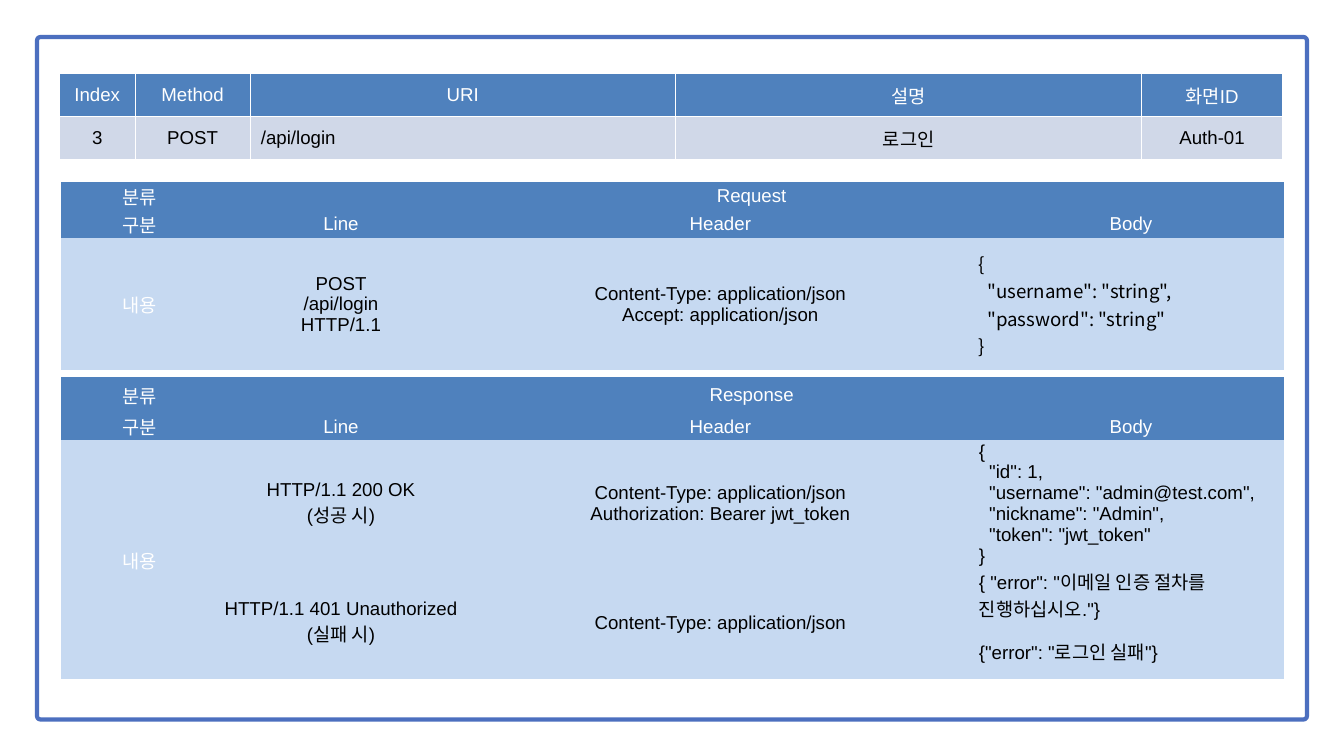
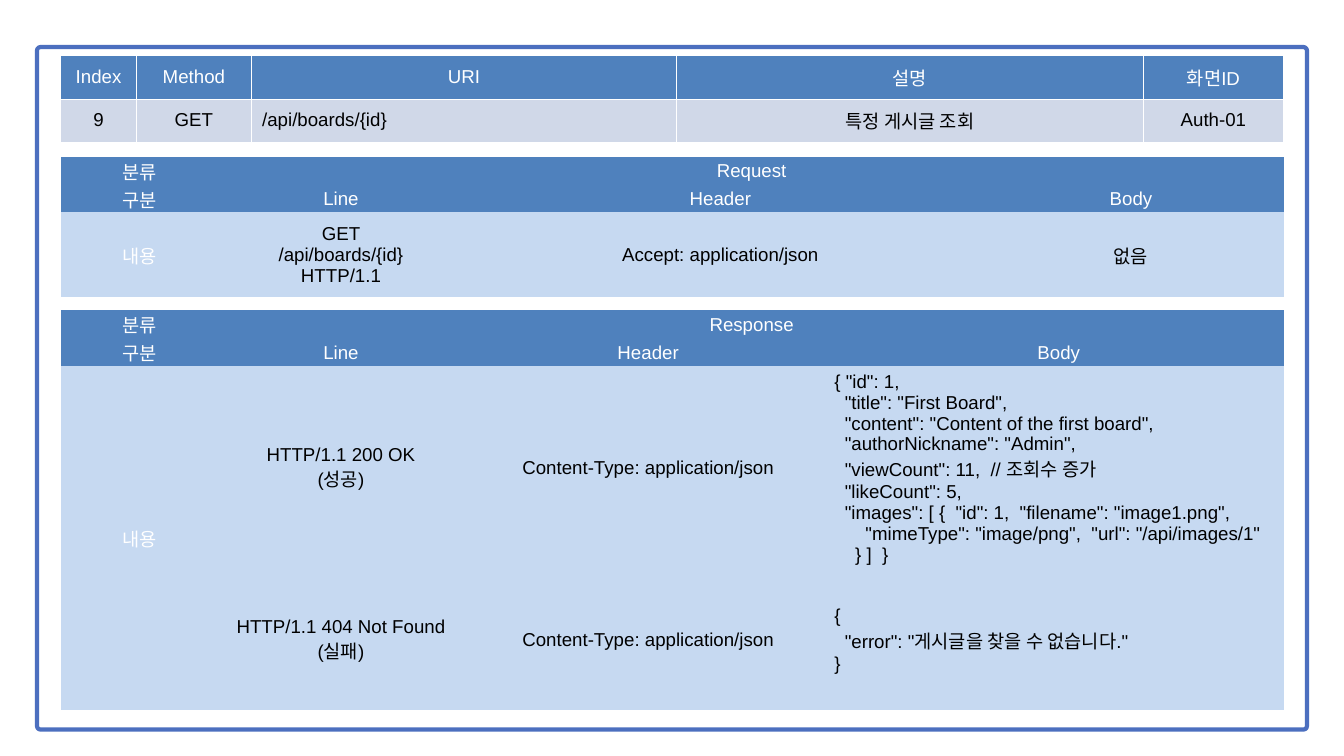
from lxml.etree import SubElement
from pptx import Presentation
from pptx.dml.color import RGBColor
from pptx.enum.shapes import MSO_SHAPE
from pptx.enum.text import MSO_ANCHOR, PP_ALIGN
from pptx.oxml.ns import qn
from pptx.util import Cm, Pt

FRAME_LINE, HEAD, BODY, INDEX_ROW = "4C6FBF", "4F81BD", "C6D9F1", "D0D8E8"
WHITE, BLACK = "FFFFFF", "000000"
LATIN, KOREAN = "Arial", "Noto Sans CJK KR"
NO_STYLE = "{2D5ABB26-0587-4C30-8999-92F81FD0307C}"
DETAIL_INSETS = (0.03, 0.03, 0.03, 0)
INDEX_INSETS = (0.41, 0.2, 0.41, 0.2)
INDEX_COLUMNS = (2.87, 4.34, 16.08, 17.63, 5.31)
INDEX_TITLES = ("Index", "Method", "URI", "설명", "화면ID")
DETAIL_COLUMNS = (6, 9.2, 19.48, 11.56)
WIDE_BODY_COLUMNS = (6, 9.2, 14.02, 17.02)
JSON_TYPE = "Content-Type: application/json"

LOGIN = {
    "frame_top": 1.4,
    "index": (2.24, 2.77, ("3", "POST", "/api/login", "로그인", "Auth-01")),
    "request": {
        "top": 6.88, "columns": DETAIL_COLUMNS, "heights": (0.99, 0.74, 5),
        "body_font": KOREAN,
        "rows": [("POST\n/api/login\nHTTP/1.1",
                  JSON_TYPE + "\nAccept: application/json",
                  '{\n  "username": "string",\n  "password": "string"\n}')],
    },
    "response": {
        "top": 14.27, "columns": DETAIL_COLUMNS,
        "heights": (1.32, 0.99, 4.27, 2.13, 2.13),
        "rows": [("HTTP/1.1 200 OK\n(성공 시)",
                  JSON_TYPE + "\nAuthorization: Bearer jwt_token",
                  '{\n  "id": 1,\n  "username": "admin@test.com",\n'
                  '  "nickname": "Admin",\n  "token": "jwt_token"\n}'),
                 ("HTTP/1.1 401 Unauthorized (실패 시)", JSON_TYPE,
                  '{ "error": "이메일 인증 절차를 진행하십시오."}'),
                 (None, None, '{"error": "로그인 실패"}')],
    },
}

BOARD = {
    "frame_top": 1.78,
    "index": (2.29, 2.11, ("9", "GET", "/api/boards/{id}", "특정 게시글 조회", "Auth-01")),
    "request": {
        "top": 5.92, "columns": DETAIL_COLUMNS, "heights": (0.64, 0.58, 3.2),
        "body_align": PP_ALIGN.CENTER,
        "rows": [("GET\n/api/boards/{id}\nHTTP/1.1", "Accept: application/json", "없음")],
    },
    "response": {
        "top": 11.73, "columns": WIDE_BODY_COLUMNS,
        "heights": (1.04, 1.04, 7.7, 5.31),
        "rows": [("HTTP/1.1 200 OK\n(성공)", JSON_TYPE,
                  '{ "id": 1,\n  "title": "First Board",\n'
                  '  "content": "Content of the first board",\n'
                  '  "authorNickname": "Admin",\n'
                  '  "viewCount": 11,  // 조회수 증가\n  "likeCount": 5,\n'
                  '  "images": [ {  "id": 1,  "filename": "image1.png",\n'
                  '      "mimeType": "image/png",  "url": "/api/images/1"\n'
                  '    } ]  }'),
                 ("HTTP/1.1 404 Not Found\n(실패)", JSON_TYPE,
                  '{\n  "error": "게시글을 찾을 수 없습니다."\n}')],
    },
}


def color(value):
    return RGBColor.from_string(value)


def add_frame(page, top):
    frame = page.shapes.add_shape(
        MSO_SHAPE.ROUNDED_RECTANGLE, Cm(1.4), Cm(top), Cm(48), Cm(25.8))
    frame.adjustments[0] = 0.005
    frame.shadow.inherit = False
    frame.fill.solid()
    frame.fill.fore_color.rgb = color(WHITE)
    frame.line.color.rgb = color(FRAME_LINE)
    frame.line.width = Pt(4.5)


def add_plain_table(page, left, top, columns, heights):
    """Adds a table without any built-in fills or borders."""
    shape = page.shapes.add_table(
        len(heights), len(columns), Cm(left), Cm(top),
        Cm(sum(columns)), Cm(sum(heights)))
    table = shape.table
    table._tbl.tblPr.find(qn("a:tableStyleId")).text = NO_STYLE
    for column, width in zip(table.columns, columns):
        column.width = Cm(width)
    for row, height in zip(table.rows, heights):
        row.height = Cm(height)
    return table


def add_borders(cell):
    properties = cell._tc.get_or_add_tcPr()
    for side in ("a:lnL", "a:lnR", "a:lnT", "a:lnB"):
        line = SubElement(properties, qn(side), w=str(Pt(1)))
        fill = SubElement(line, qn("a:solidFill"))
        SubElement(fill, qn("a:srgbClr"), val=WHITE)


def fill_cell(cell, text, fill, ink, insets=DETAIL_INSETS,
              align=PP_ALIGN.CENTER, font=LATIN):
    cell.margin_left, cell.margin_top, cell.margin_right, cell.margin_bottom = map(Cm, insets)
    cell.vertical_anchor = MSO_ANCHOR.MIDDLE
    cell.fill.solid()
    cell.fill.fore_color.rgb = color(fill)
    cell.text_frame.text = text
    for para in cell.text_frame.paragraphs:
        para.alignment = align
        for span in para.runs:
            span.font.size = Pt(20)
            span.font.name = font
            span.font.color.rgb = color(ink)
            SubElement(span.font._element, qn("a:ea"), typeface=KOREAN)


def add_index_table(page, left, top, values):
    table = add_plain_table(page, left, top, INDEX_COLUMNS, (1.63, 1.63))
    rows = ((INDEX_TITLES, HEAD, WHITE), (values, INDEX_ROW, BLACK))
    for row, (texts, fill, ink) in enumerate(rows):
        for column, text in enumerate(texts):
            cell = table.cell(row, column)
            add_borders(cell)
            is_address = row == 1 and column == 2
            fill_cell(cell, text, fill, ink, INDEX_INSETS,
                      PP_ALIGN.LEFT if is_address else PP_ALIGN.CENTER)


def add_detail_table(page, title, top, columns, heights, rows,
                     body_align=PP_ALIGN.LEFT, body_font=LATIN):
    """Adds a request or response table; None continues the cell above."""
    table = add_plain_table(page, 2.29, top, columns, heights)
    table.cell(0, 1).merge(table.cell(0, 3))
    fill_cell(table.cell(0, 0), "분류", HEAD, WHITE)
    fill_cell(table.cell(0, 1), title, HEAD, WHITE)
    for column, text in enumerate(("구분", "Line", "Header", "Body")):
        fill_cell(table.cell(1, column), text, HEAD, WHITE)
    if len(rows) > 1:
        table.cell(2, 0).merge(table.cell(len(heights) - 1, 0))
    fill_cell(table.cell(2, 0), "내용", BODY, WHITE)
    for row, texts in enumerate(rows, start=2):
        for column, text in enumerate(texts, start=1):
            cell = table.cell(row, column)
            if text is None:
                table.cell(row - 1, column).merge(cell)
            elif column == 3:
                fill_cell(cell, text, BODY, BLACK, align=body_align, font=body_font)
            else:
                fill_cell(cell, text, BODY, BLACK)


def add_api_page(deck, api):
    page = deck.slides.add_slide(deck.slide_layouts[6])
    add_frame(page, api["frame_top"])
    add_detail_table(page, "Request", **api["request"])
    add_detail_table(page, "Response", **api["response"])
    add_index_table(page, *api["index"])


def main():
    deck = Presentation()
    deck.slide_width, deck.slide_height = Cm(50.8), Cm(28.58)
    for api in (LOGIN, BOARD):
        add_api_page(deck, api)
    deck.save("out.pptx")


if __name__ == "__main__":
    main()
